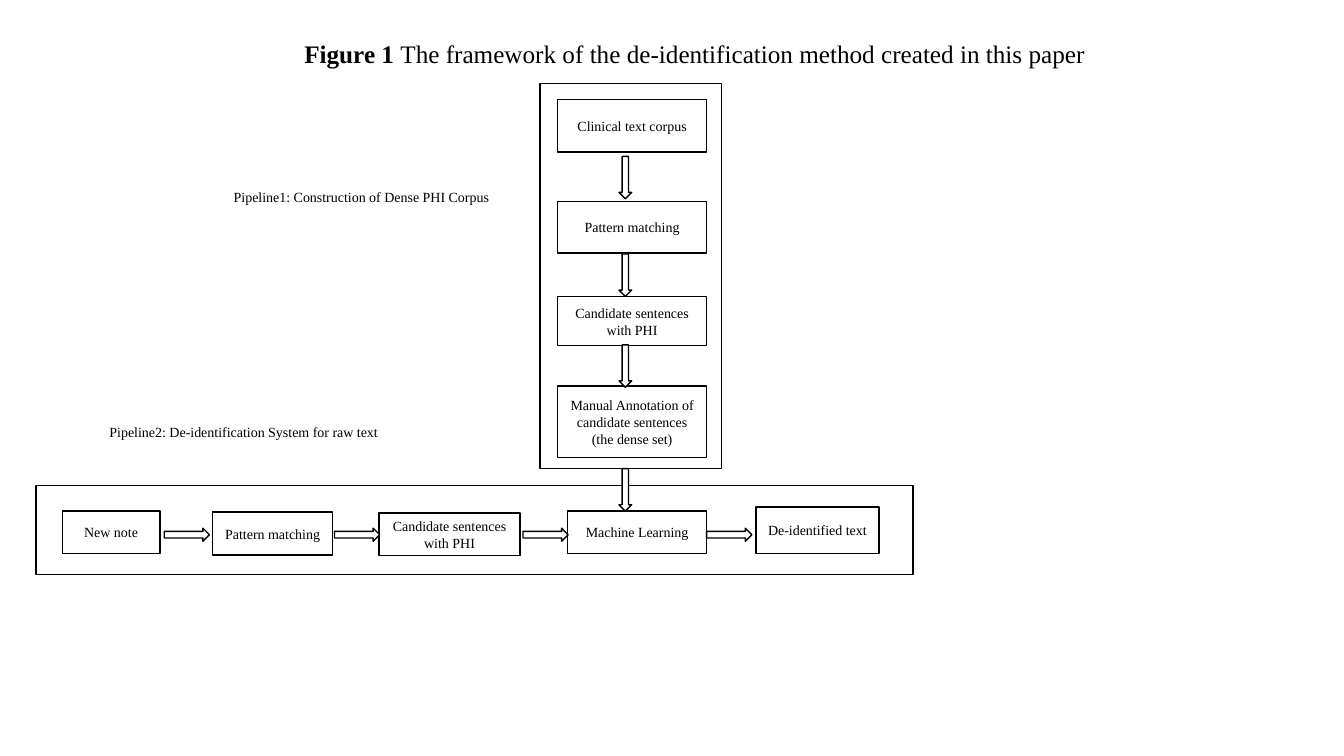
from dataclasses import dataclass

from pptx import Presentation
from pptx.dml.color import RGBColor
from pptx.enum.shapes import MSO_SHAPE
from pptx.enum.text import MSO_ANCHOR, PP_ALIGN
from pptx.util import Cm, Pt


@dataclass(frozen=True)
class Theme:
    font: str = "Times New Roman"
    ink: RGBColor = RGBColor(0, 0, 0)
    paper: RGBColor = RGBColor(255, 255, 255)
    title_size: int = 18
    body_size: int = 10
    line_width: int = 1


THEME = Theme()

# Pipeline 1: text, top, height (cm)
COLUMN_LEFT, COLUMN_WIDTH = 14.05, 3.76
COLUMN_STEPS = [
    ("Clinical text corpus", 2.51, 1.32),
    ("Pattern matching", 5.08, 1.3),
    ("Candidate sentences with PHI", 7.47, 1.24),
    ("Manual Annotation of candidate sentences (the dense set)", 9.73, 1.8),
]
DOWN_ARROW_TOPS = [3.94, 6.4, 8.69, 11.81]

# Pipeline 2: text, left, top, width, height (cm)
ROW_STEPS = [
    ("New note", 1.57, 12.88, 2.46, 1.07),
    ("Pattern matching", 5.36, 12.9, 3.02, 1.09),
    ("Candidate sentences with PHI", 9.55, 12.93, 3.56, 1.07),
    ("Machine Learning", 14.3, 12.88, 3.51, 1.07),
    ("De-identified text", 19.05, 12.78, 3.1, 1.17),
]
RIGHT_ARROW_LEFTS = [4.14, 8.43, 13.18, 17.81]


def add_span(para, text, size=THEME.body_size, bold=False):
    span = para.add_run()
    span.text = text
    span.font.name = THEME.font
    span.font.size = Pt(size)
    span.font.bold = bold
    span.font.color.rgb = THEME.ink


def write_text(box, *parts, align=PP_ALIGN.CENTER, anchor=MSO_ANCHOR.MIDDLE,
               size=THEME.body_size):
    """Write one paragraph from (text, bold) parts."""
    frame = box.text_frame
    frame.word_wrap = True
    frame.vertical_anchor = anchor
    para = frame.paragraphs[0]
    para.alignment = align
    for text, bold in parts:
        add_span(para, text, size=size, bold=bold)


def add_outlined(page, kind, left, top, width, height):
    shape = page.shapes.add_shape(kind, Cm(left), Cm(top), Cm(width), Cm(height))
    shape.shadow.inherit = False
    shape.fill.solid()
    shape.fill.fore_color.rgb = THEME.paper
    shape.line.color.rgb = THEME.ink
    shape.line.width = Pt(THEME.line_width)
    return shape


def add_step(page, text, left, top, width, height):
    box = add_outlined(page, MSO_SHAPE.FLOWCHART_PROCESS, left, top, width, height)
    write_text(box, (text, False))


def add_label(page, *parts, left, top, width, height, **text_format):
    box = page.shapes.add_textbox(Cm(left), Cm(top), Cm(width), Cm(height))
    write_text(box, *parts, **text_format)


def main():
    deck = Presentation()
    deck.slide_width, deck.slide_height = Cm(33.87), Cm(19.05)
    page = deck.slides.add_slide(deck.slide_layouts[6])

    # Pipeline frames
    add_outlined(page, MSO_SHAPE.RECTANGLE, 13.61, 2.11, 4.57, 9.7)
    add_outlined(page, MSO_SHAPE.RECTANGLE, 0.91, 12.24, 22.1, 2.24)

    # Steps
    for text, top, height in COLUMN_STEPS:
        add_step(page, text, COLUMN_LEFT, top, COLUMN_WIDTH, height)
    for step in ROW_STEPS:
        add_step(page, *step)

    # Block arrows between the steps
    for top in DOWN_ARROW_TOPS:
        add_outlined(page, MSO_SHAPE.DOWN_ARROW, 15.6, top, 0.32, 1.07)
    for left in RIGHT_ARROW_LEFTS:
        add_outlined(page, MSO_SHAPE.RIGHT_ARROW, left, 13.31, 1.14, 0.33)

    # Title and pipeline labels
    add_label(page, ("Figure 1 ", True),
              ("The framework of the de-identification method created in this paper", False),
              left=7.42, top=0.05, width=20.4, height=2.57,
              size=THEME.title_size, align=PP_ALIGN.LEFT)
    label_format = {"height": 0.71, "align": PP_ALIGN.JUSTIFY, "anchor": MSO_ANCHOR.TOP}
    add_label(page, ("Pipeline1: Construction of Dense PHI Corpus", False),
              left=5.64, top=4.62, width=7.26, **label_format)
    add_label(page, ("Pipeline2: De-identification System for raw text", False),
              left=2.51, top=10.54, width=7.47, **label_format)

    deck.save("out.pptx")


main()
